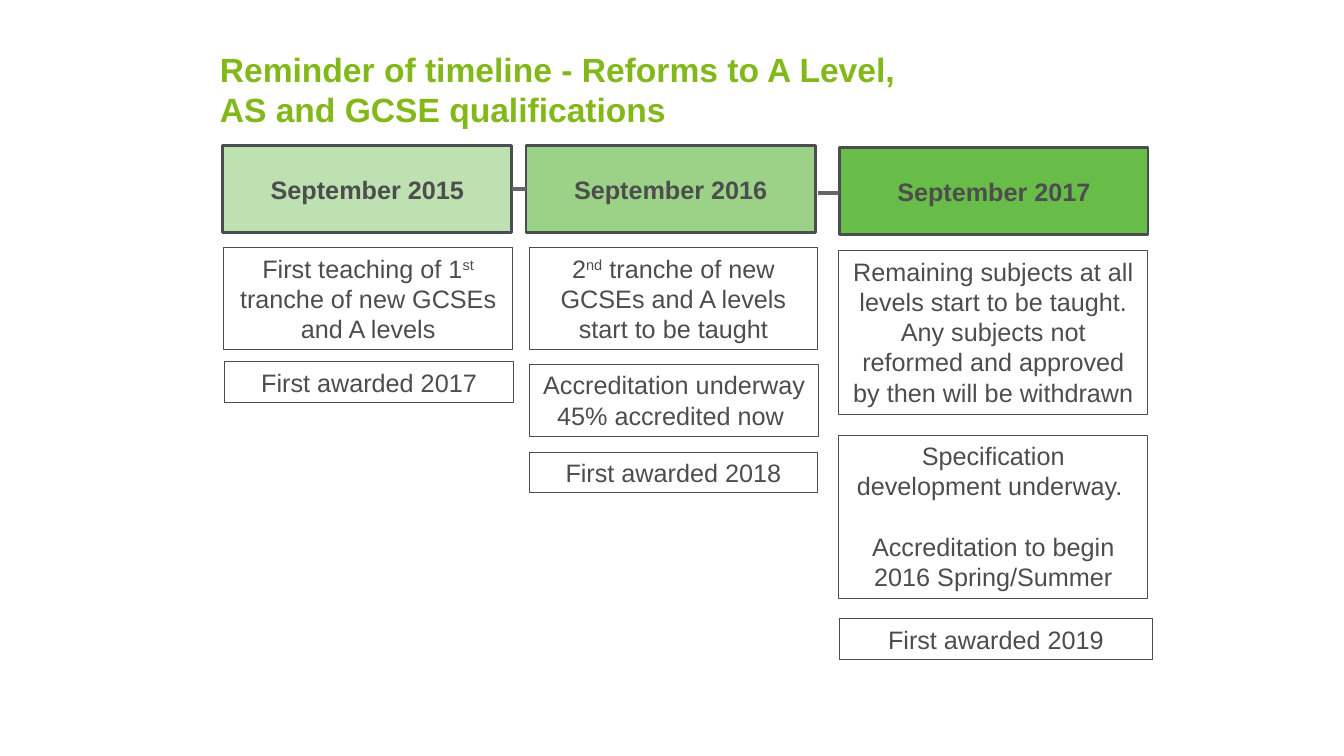
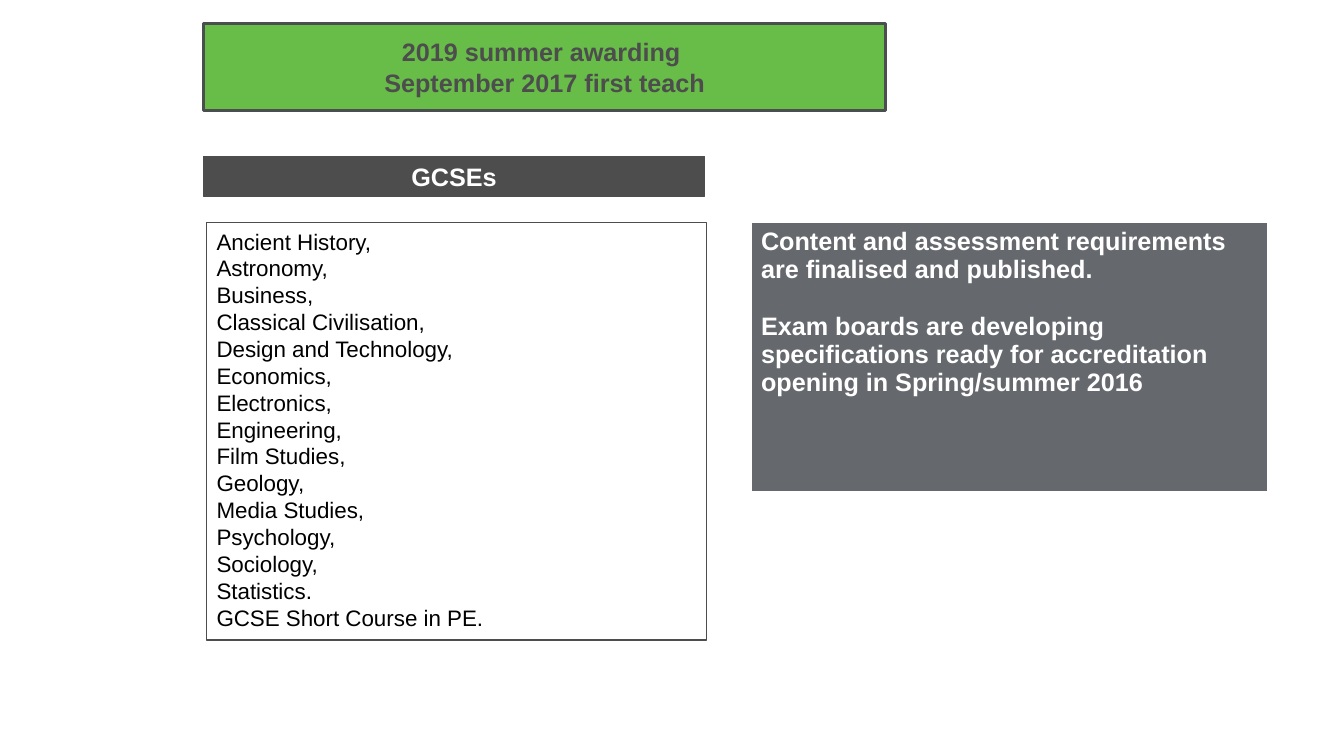
"""Build two slides on the timeline of qualification reforms."""
from lxml.etree import SubElement
from pptx import Presentation
from pptx.dml.color import RGBColor
from pptx.enum.shapes import MSO_CONNECTOR, MSO_SHAPE
from pptx.enum.text import MSO_ANCHOR, MSO_AUTO_SIZE, PP_ALIGN
from pptx.oxml.ns import qn
from pptx.util import Pt

COLOURS = {
    "title": "83B81A", "text": "4D4D4D", "edge": "4B4E51", "link": "63676C",
    "pale": "BDE1B0", "light": "9CD288", "green": "68BD49",
    "panel": "65696E", "white": "FFFFFF", "black": "000000",
}


class Slides:
    FONT = "Arial"
    SIZE = 18
    LEADING = 1.2
    TITLE_ONLY, BLANK = 5, 6

    def __init__(self):
        self.deck = Presentation()
        self.deck.slide_width, self.deck.slide_height = Pt(960), Pt(540)
        self.page = None

    def colour(self, name):
        return RGBColor.from_string(COLOURS[name])

    def new_page(self, layout):
        self.page = self.deck.slides.add_slide(self.deck.slide_layouts[layout])

    def style(self, frame, colour, size=SIZE, bold=False, align=PP_ALIGN.LEFT,
              leading=LEADING, gap=0):
        for index, para in enumerate(frame.paragraphs):
            para.alignment = align
            para.space_before = Pt(gap if index else 0)
            if leading:
                para.line_spacing = Pt(round(size * leading, 2))
            for span in para.runs:
                font = span.font
                font.name, font.size, font.bold = self.FONT, Pt(size), bold
                font.color.rgb = self.colour(colour)

    def add_spans(self, para, text):
        for index, piece in enumerate(text.split("^")):
            span = para.add_run()
            span.text = piece
            if index % 2:
                span._r.get_or_add_rPr().set("baseline", "30000")

    def title(self, text, left, top, width, height):
        box = self.page.shapes.title
        box.left, box.top, box.width, box.height = map(Pt, (left, top, width, height))
        frame = box.text_frame
        frame.text = text
        frame.word_wrap, frame.auto_size = True, MSO_AUTO_SIZE.NONE
        frame.vertical_anchor = MSO_ANCHOR.TOP
        frame.margin_left = frame.margin_right = 0
        frame.margin_top = frame.margin_bottom = Pt(2.9)
        self.style(frame, "title", 24, True)

    def box(self, text, place, fill=None, edge="text", weight=0.75,
            anchor=MSO_ANCHOR.TOP, colour="text", align=PP_ALIGN.CENTER, **look):
        box = self.page.shapes.add_shape(MSO_SHAPE.RECTANGLE, *map(Pt, place))
        box.shadow.inherit = False
        if fill:
            box.fill.solid()
            box.fill.fore_color.rgb = self.colour(fill)
        else:
            box.fill.background()
        box.line.color.rgb = self.colour(edge)
        box.line.width = Pt(weight)
        frame = box.text_frame
        frame.word_wrap, frame.vertical_anchor = True, anchor
        for index, line in enumerate(text.split("\n")):
            para = frame.add_paragraph() if index else frame.paragraphs[0]
            self.add_spans(para, line)
        self.style(frame, colour, align=align, **look)
        return box

    def banner(self, text, place, fill):
        return self.box(text, place, fill, "edge", 2, MSO_ANCHOR.MIDDLE, bold=True)

    def link(self, left, right, height):
        line = self.page.shapes.add_connector(
            MSO_CONNECTOR.STRAIGHT, Pt(left), Pt(height), Pt(right), Pt(height))
        line.line.color.rgb = self.colour("link")
        line.line.width = Pt(3)
        SubElement(line._element.spPr, qn("a:effectLst"))
        return line

    def panel(self, text, place):
        table = self.page.shapes.add_table(1, 1, *map(Pt, place)).table
        cell = table.cell(0, 0)
        cell.fill.solid()
        cell.fill.fore_color.rgb = self.colour("panel")
        cell.text_frame.text = text
        self.style(cell.text_frame, "white", bold=True, leading=None, gap=20.2)


def timeline(slides):
    slides.new_page(slides.TITLE_ONLY)
    slides.title("Reminder of timeline - Reforms to A Level, AS and GCSE qualifications",
                 157, 31.7, 499.7, 56.2)
    years = [
        ("September 2015", (159.1, 103.7, 206.6, 62.6), "pale"),
        ("September 2016", (375.8, 103.7, 206.6, 62.6), "light"),
        ("September 2017", (599.8, 105.1, 220.3, 62.6), "green"),
    ]
    first, second, _ = [slides.banner(*year) for year in years]
    notes = [
        ("First teaching of 1^st^ tranche of new GCSEs and A levels",
         (160, 177.1, 206, 72.7)),
        ("First awarded 2017", (160.6, 258.5, 206, 28.8)),
        ("2^nd^ tranche of new GCSEs and A levels start to be taught",
         (378, 177.1, 206, 72.7)),
        ("Accreditation underway 45% accredited now ", (378.5, 260.6, 206, 51.1)),
        ("First awarded 2018", (378, 323.3, 206, 28.8)),
        ("Remaining subjects at all levels start to be taught. "
         "Any subjects not reformed and approved by then will be withdrawn",
         (599, 179.2, 221, 116.6)),
        ("Specification development underway. \nAccreditation to begin 2016 Spring/Summer",
         (599, 311, 221, 116.6)),
        ("First awarded 2019", (599.8, 442.1, 223.2, 28.8)),
    ]
    for text, place in notes:
        slides.box(text, place, gap=21.6)
    joined = slides.link(365.7, 375.8, 135)
    joined.begin_connect(first, 3)
    joined.end_connect(second, 1)
    slides.link(584.6, 599, 138)


def subjects(slides):
    slides.new_page(slides.BLANK)
    slides.box("GCSEs", (145.4, 111.6, 357.8, 28.8), "text", colour="white", bold=True)
    slides.banner("2019 summer awarding \nSeptember 2017 first teach",
                  (145.4, 16.6, 487.4, 62.6), "green")
    names = [
        "Ancient History,", "Astronomy,", "Business,", "Classical Civilisation,",
        "Design and Technology,", "Economics,", "Electronics,", "Engineering,",
        "Film Studies,", "Geology,", "Media Studies,", "Psychology,", "Sociology,",
        "Statistics.", "GCSE Short Course in PE.",
    ]
    slides.box("\n".join(names), (147.6, 159.1, 357.1, 298.1), colour="black",
               align=PP_ALIGN.LEFT, size=16)
    slides.panel("Content and assessment requirements are finalised and published.\n"
                 "Exam boards are developing specifications ready for accreditation "
                 "opening in Spring/summer 2016", (536.4, 159.1, 369.4, 192.2))


def main():
    slides = Slides()
    timeline(slides)
    subjects(slides)
    slides.deck.save("out.pptx")


if __name__ == "__main__":
    main()
